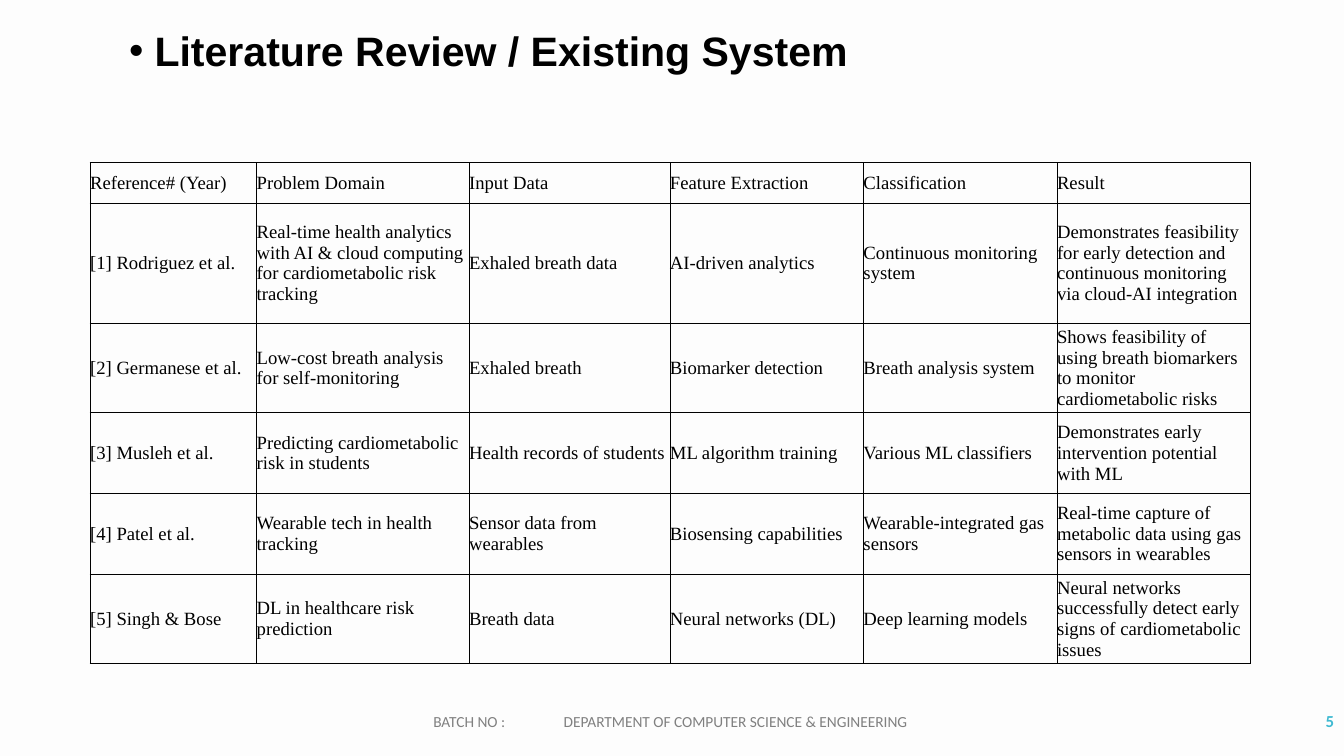
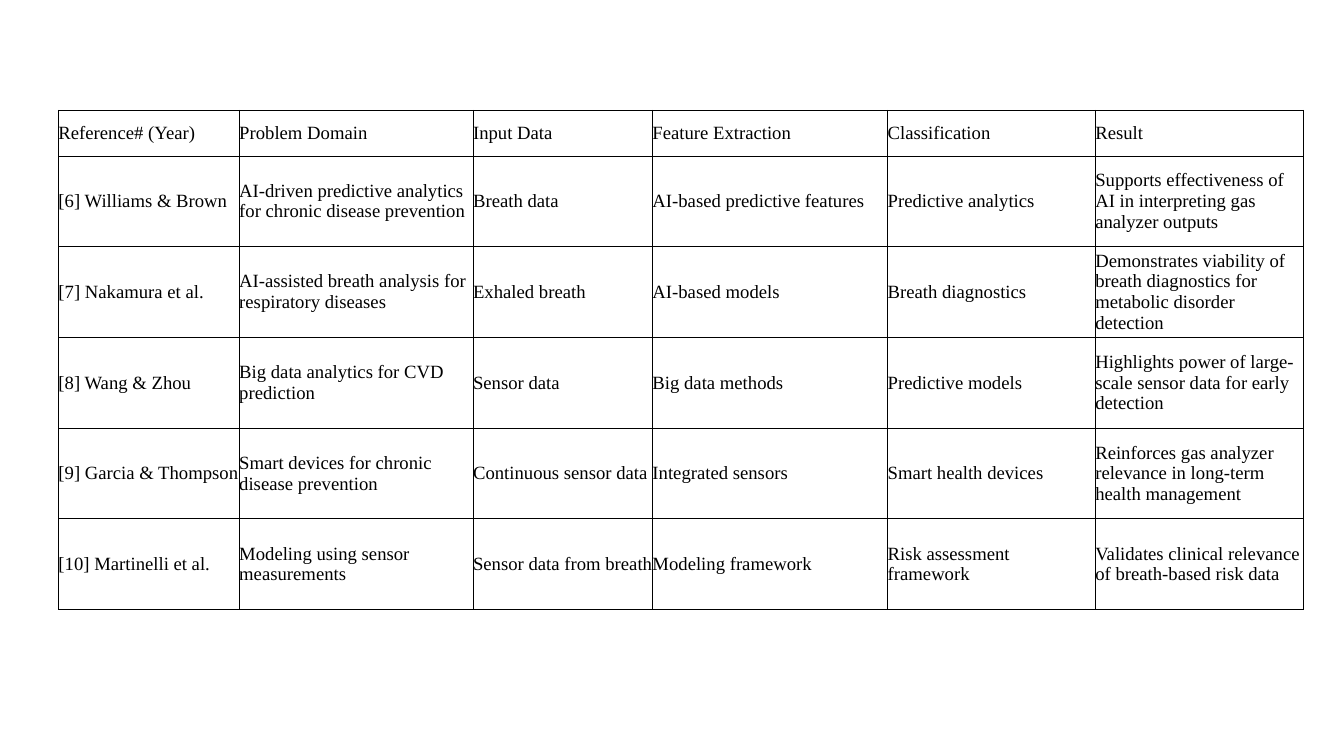
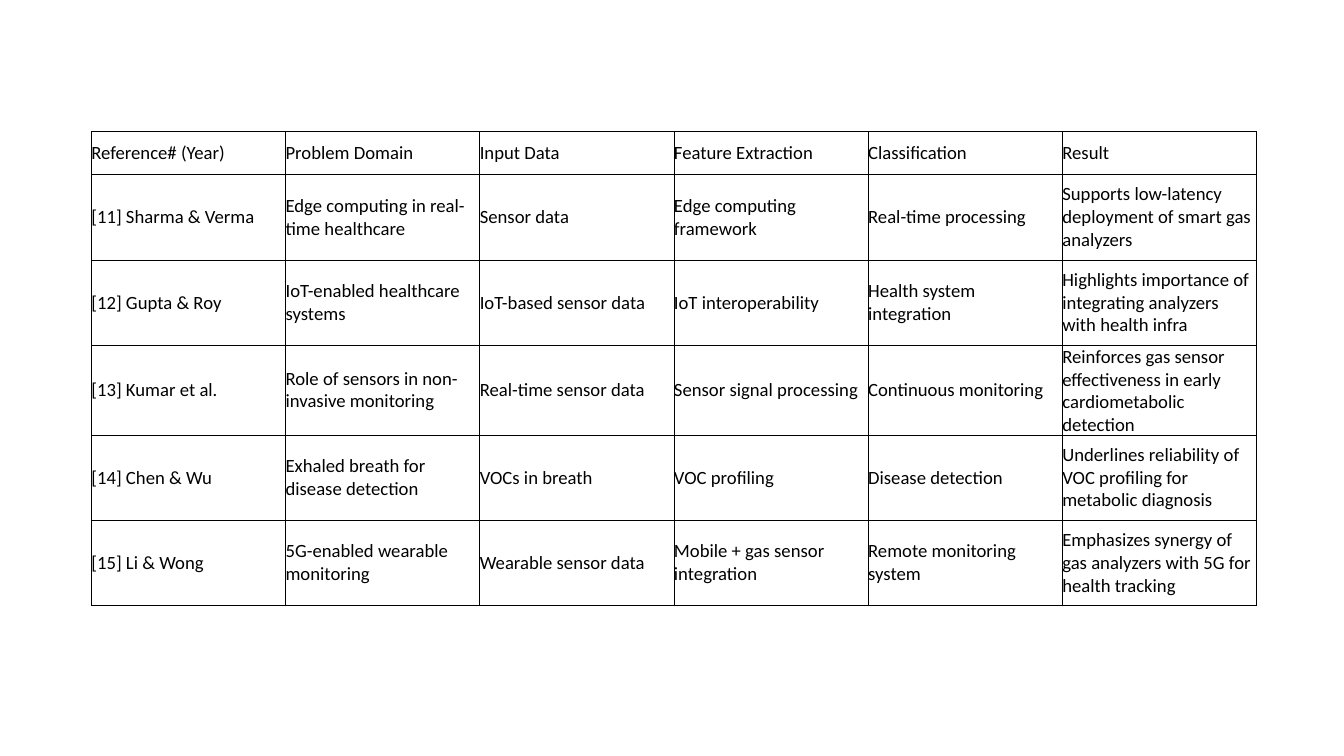
"""Build three literature review slides, each with a reference table."""
from lxml import etree
from pptx import Presentation
from pptx.dml.color import RGBColor
from pptx.enum.text import MSO_ANCHOR, MSO_AUTO_SIZE, PP_ALIGN
from pptx.oxml.ns import qn
from pptx.util import Inches, Pt

LEFT, RIGHT = PP_ALIGN.LEFT, PP_ALIGN.RIGHT
TOP, MIDDLE = MSO_ANCHOR.TOP, MSO_ANCHOR.MIDDLE
NO_AUTOFIT = MSO_AUTO_SIZE.NONE
TITLE_ONLY, BLANK = 5, 6

COLORS = {
    "ink": "000000",
    "footer": "808080",
    "page_number": "40BAD2",
    "off_white": "FDFDFD",
    "white": "FFFFFF",
}
SERIF, SANS, HEADING = "Times New Roman", "Calibri", "Arial"

HEADER = ("Reference# (Year)", "Problem Domain", "Input Data",
          "Feature Extraction", "Classification", "Result")

STUDIES_1_TO_5 = [
    ("[1] Rodriguez et al.",
     "Real-time health analytics with AI & cloud computing for cardiometabolic risk tracking",
     "Exhaled breath data", "AI-driven analytics", "Continuous monitoring system",
     "Demonstrates feasibility for early detection and continuous monitoring via cloud-AI integration"),
    ("[2] Germanese et al.", "Low-cost breath analysis for self-monitoring",
     "Exhaled breath", "Biomarker detection", "Breath analysis system",
     "Shows feasibility of using breath biomarkers to monitor cardiometabolic risks"),
    ("[3] Musleh et al.", "Predicting cardiometabolic risk in students",
     "Health records of students", "ML algorithm training", "Various ML classifiers",
     "Demonstrates early intervention potential with ML"),
    ("[4] Patel et al.", "Wearable tech in health tracking",
     "Sensor data from wearables", "Biosensing capabilities", "Wearable-integrated gas sensors",
     "Real-time capture of metabolic data using gas sensors in wearables"),
    ("[5] Singh & Bose", "DL in healthcare risk prediction",
     "Breath data", "Neural networks (DL)", "Deep learning models",
     "Neural networks successfully detect early signs of cardiometabolic issues"),
]

STUDIES_6_TO_10 = [
    ("[6] Williams & Brown", "AI-driven predictive analytics for chronic disease prevention",
     "Breath data", "AI-based predictive features", "Predictive analytics",
     "Supports effectiveness of AI in interpreting gas analyzer outputs"),
    ("[7] Nakamura et al.", "AI-assisted breath analysis for respiratory diseases",
     "Exhaled breath", "AI-based models", "Breath diagnostics",
     "Demonstrates viability of breath diagnostics for metabolic disorder detection"),
    ("[8] Wang & Zhou", "Big data analytics for CVD prediction",
     "Sensor data", "Big data methods", "Predictive models",
     "Highlights power of large-scale sensor data for early detection"),
    ("[9] Garcia & Thompson", "Smart devices for chronic disease prevention",
     "Continuous sensor data", "Integrated sensors", "Smart health devices",
     "Reinforces gas analyzer relevance in long-term health management"),
    ("[10] Martinelli et al.", "Modeling using sensor measurements",
     "Sensor data from breath", "Modeling framework", "Risk assessment framework",
     "Validates clinical relevance of breath-based risk data"),
]

STUDIES_11_TO_15 = [
    ("[11] Sharma & Verma", "Edge computing in real-time healthcare",
     "Sensor data", "Edge computing framework", "Real-time processing",
     "Supports low-latency deployment of smart gas analyzers"),
    ("[12] Gupta & Roy", "IoT-enabled healthcare systems",
     "IoT-based sensor data", "IoT interoperability", "Health system integration",
     "Highlights importance of integrating analyzers with health infra"),
    ("[13] Kumar et al.", "Role of sensors in non-invasive monitoring",
     "Real-time sensor data", "Sensor signal processing", "Continuous monitoring",
     "Reinforces gas sensor effectiveness in early cardiometabolic detection"),
    ("[14] Chen & Wu", "Exhaled breath for disease detection",
     "VOCs in breath", "VOC profiling", "Disease detection",
     "Underlines reliability of VOC profiling for metabolic diagnosis"),
    ("[15] Li & Wong", "5G-enabled wearable monitoring",
     "Wearable sensor data", "Mobile + gas sensor integration", "Remote monitoring system",
     "Emphasizes synergy of gas analyzers with 5G for health tracking"),
]


def add_slide(prs, layout, background):
    """Add a slide with a plain background."""
    slide = prs.slides.add_slide(prs.slide_layouts[layout])
    fill = slide.background.fill
    fill.solid()
    fill.fore_color.rgb = RGBColor.from_string(COLORS[background])
    return slide


def format_runs(paragraph, font_name, size, color, bold=False):
    """Give every run of a paragraph the same font."""
    for run in paragraph.runs:
        run.font.name = font_name
        run.font.size = Pt(size)
        run.font.bold = bold
        run.font.color.rgb = RGBColor.from_string(COLORS[color])


def add_bulleted_title(slide, text):
    """Fill the title placeholder with one bulleted heading."""
    title = slide.shapes.title
    title.left, title.top = Inches(1.92), Inches(0.38)
    title.width, title.height = Inches(13.67), Inches(0.74)
    frame = title.text_frame
    frame.text = text
    frame.auto_size = NO_AUTOFIT
    frame.word_wrap = True
    frame.vertical_anchor = TOP
    frame.margin_left = frame.margin_right = frame.margin_top = frame.margin_bottom = 0
    heading = frame.paragraphs[0]
    heading.alignment = LEFT
    properties = heading._p.get_or_add_pPr()
    hanging = Inches(0.38)
    properties.set("marL", str(hanging))
    properties.set("indent", str(-hanging))
    etree.SubElement(properties, qn("a:buFont"), typeface=HEADING)
    etree.SubElement(properties, qn("a:buChar"), char="•")
    format_runs(heading, HEADING, 44, "ink", bold=True)


def add_footer_text(slide, left, width, text, size, color, bold=False, align=LEFT, tab=None):
    """Add a text on the footer line, with an optional tab stop."""
    footer = slide.shapes.add_textbox(Inches(left), Inches(10.43), Inches(width), Inches(0.6))
    frame = footer.text_frame
    frame.word_wrap = True
    frame.vertical_anchor = MIDDLE
    frame.text = text
    line = frame.paragraphs[0]
    line.alignment = align
    if tab:
        stops = etree.SubElement(line._p.get_or_add_pPr(), qn("a:tabLst"))
        etree.SubElement(stops, qn("a:tab"), pos=str(Inches(tab)), algn="l")
    format_runs(line, SANS, size, color, bold)


def add_cell_borders(cell):
    """Draw a thin dark line on all four sides of a cell."""
    properties = cell._tc.get_or_add_tcPr()
    for side in ("a:lnL", "a:lnR", "a:lnT", "a:lnB"):
        border = etree.SubElement(properties, qn(side), w=str(Pt(1)))
        fill = etree.SubElement(border, qn("a:solidFill"))
        etree.SubElement(fill, qn("a:srgbClr"), val=COLORS["ink"])


def fill_cell(cell, text, font_name):
    """Write one table cell without padding or fill."""
    cell.text = text
    cell.vertical_anchor = MIDDLE
    cell.margin_left = cell.margin_right = cell.margin_top = cell.margin_bottom = 0
    add_cell_borders(cell)
    cell.fill.background()
    format_runs(cell.text_frame.paragraphs[0], font_name, 20, "ink")


def add_study_table(slide, left, top, widths, heights, studies, font_name):
    """Add the table of studies below the shared header row."""
    rows = [HEADER] + studies
    table = slide.shapes.add_table(
        len(rows), len(HEADER), Inches(left), Inches(top),
        Inches(sum(widths)), Inches(sum(heights))).table
    table.first_row = False
    table.horz_banding = False
    for column, width in zip(table.columns, widths):
        column.width = Inches(width)
    for row, height, texts in zip(table.rows, heights, rows):
        row.height = Inches(height)
        for cell, text in zip(row.cells, texts):
            fill_cell(cell, text, font_name)


def main():
    """Build the three slides and save them."""
    prs = Presentation()
    prs.slide_width, prs.slide_height = Inches(20), Inches(11.25)

    review = add_slide(prs, TITLE_ONLY, "off_white")
    add_bulleted_title(review, "Literature Review / Existing System")
    add_footer_text(review, 17.44, 2.51, "5", 18, "page_number", bold=True, align=RIGHT)
    add_footer_text(review, 6.35, 9.7,
                    "BATCH NO :\tDEPARTMENT OF COMPUTER SCIENCE & ENGINEERING",
                    16.5, "footer", tab=1.94)
    add_study_table(review, 1.34, 2.42, [2.48, 3.16, 2.99] + [2.88] * 3,
                    [0.6, 1.79] + [1.2] * 4, STUDIES_1_TO_5, SERIF)

    review_continued = add_slide(prs, BLANK, "white")
    add_study_table(review_continued, 0.87, 1.64, [2.69, 3.48, 2.67, 3.5, 3.09, 3.09],
                    [0.68] + [1.35] * 5, STUDIES_6_TO_10, SERIF)

    review_end = add_slide(prs, BLANK, "white")
    add_study_table(review_end, 1.36, 1.96, [2.89] * 6,
                    [0.64] + [1.27] * 5, STUDIES_11_TO_15, SANS)

    prs.save("out.pptx")


if __name__ == "__main__":
    main()
